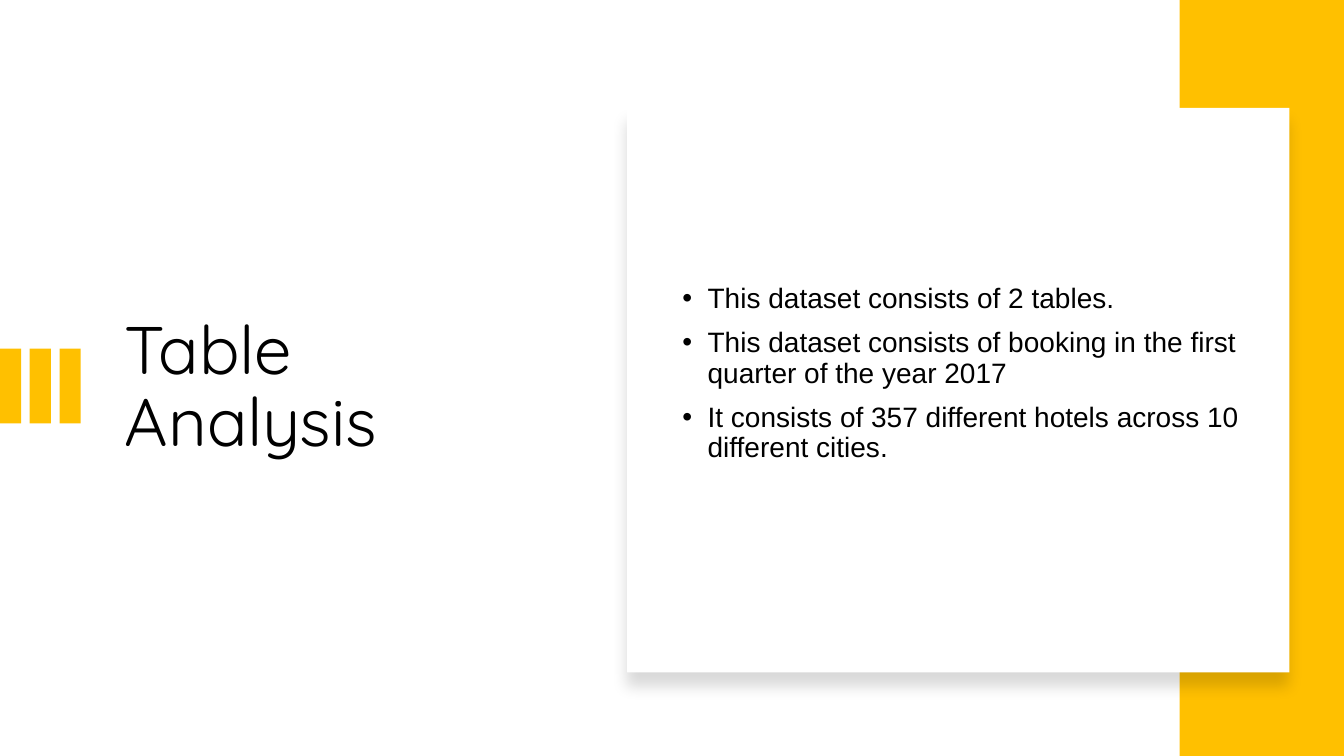
from lxml import etree
from pptx import Presentation
from pptx import util as u
from pptx.dml.color import RGBColor
from pptx.enum import shapes, text
from pptx.oxml import ns

PX = 9144
GOLD = RGBColor(0xFF, 0xC0, 0x00)
WHITE = RGBColor(0xFF, 0xFF, 0xFF)
BLACK = RGBColor(0x00, 0x00, 0x00)

TITLE = "Table Analysis"
POINTS = [
    "This dataset consists of 2 tables.",
    "This dataset consists of booking in the first quarter of the year 2017",
    "It consists of 357 different hotels across 10 different cities.",
]


def px(length):
    return u.Emu(round(length * PX))


def add_block(page, left, top, width, height, color):
    block = page.shapes.add_shape(
        shapes.MSO_SHAPE.RECTANGLE, px(left), px(top), px(width), px(height))
    block.shadow.inherit = False
    block.fill.solid()
    block.fill.fore_color.rgb = color
    block.line.fill.background()
    return block


def add_soft_shadow(block):
    effects = block._element.spPr.find(ns.qn("a:effectLst"))
    shadow = etree.SubElement(
        effects, ns.qn("a:outerShdw"), blurRad=str(u.Pt(11)),
        dist=str(u.Pt(10)), dir="5400000", algn="t", rotWithShape="0")
    color = etree.SubElement(shadow, ns.qn("a:srgbClr"), val=str(BLACK))
    etree.SubElement(color, ns.qn("a:alpha"), val="15000")


def add_bullet(para, indent):
    properties = para._p.get_or_add_pPr()
    properties.set("marL", str(px(indent)))
    properties.set("indent", str(px(-indent)))
    etree.SubElement(properties, ns.qn("a:buFont"), typeface="Arial")
    etree.SubElement(properties, ns.qn("a:buChar"), char="•")


def add_text(page, left, top, width, height, lines, *, font, size,
             bullet_indent=0, gap=0, bottom_inset=5):
    box = page.shapes.add_textbox(px(left), px(top), px(width), px(height))
    frame = box.text_frame
    frame.word_wrap = True
    frame.vertical_anchor = text.MSO_ANCHOR.MIDDLE
    frame.margin_bottom = px(bottom_inset)
    for index, line in enumerate(lines):
        para = frame.add_paragraph() if index else frame.paragraphs[0]
        para.line_spacing = 0.9
        para.space_before = u.Pt(gap if index else 0)
        if bullet_indent:
            add_bullet(para, bullet_indent)
        span = para.add_run()
        span.text = line
        span.font.name = font
        span.font.size = u.Pt(size)
        span.font.color.rgb = BLACK


def add_title_region(page, left, top, width, height):
    add_text(page, left + 114, top, width - 114, height, [TITLE],
             font="Quicksand", size=48)
    bar_count, bar_width, bars_width = 3, 21, 80
    pitch = (bars_width - bar_width) / (bar_count - 1)
    for index in range(bar_count):
        add_block(page, left + index * pitch, top + 200, bar_width, 74, GOLD)


def add_points_card(page, left, top, width, height):
    card = add_block(page, left, top, width, height, WHITE)
    add_soft_shadow(card)
    add_text(page, left + 45, top + 39, width - 82, height - 81, POINTS,
             font="Arial", size=20, bullet_indent=25, gap=10, bottom_inset=34)


def main():
    deck = Presentation()
    deck.slide_width, deck.slide_height = px(1333), px(750)
    page = deck.slides.add_slide(deck.slide_layouts[6])
    add_title_region(page, 0, 146, 540, 479)
    add_block(page, 1170, 0, 163, 750, GOLD)
    add_points_card(page, 622, 107, 657, 560)
    deck.save("out.pptx")


if __name__ == "__main__":
    main()
